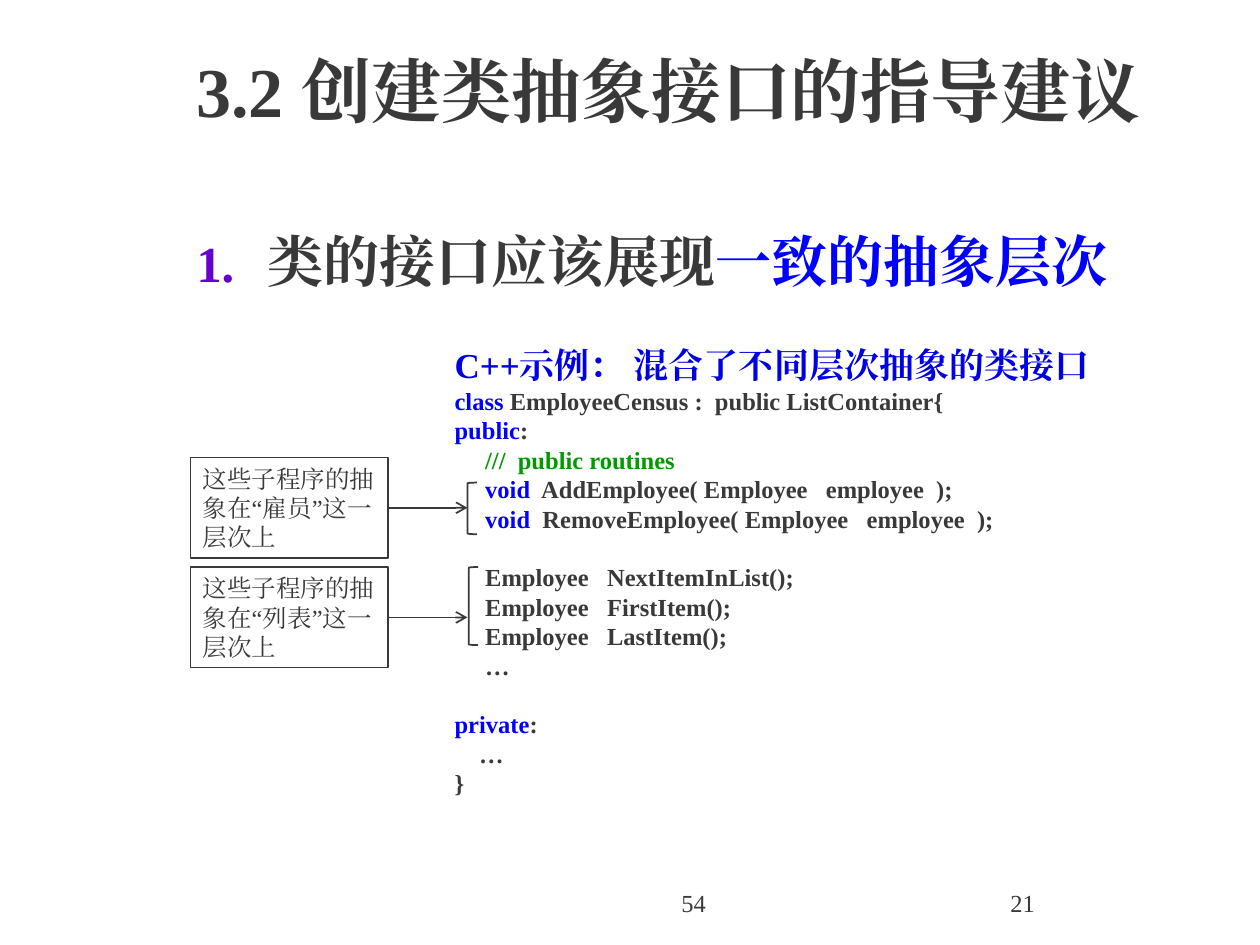
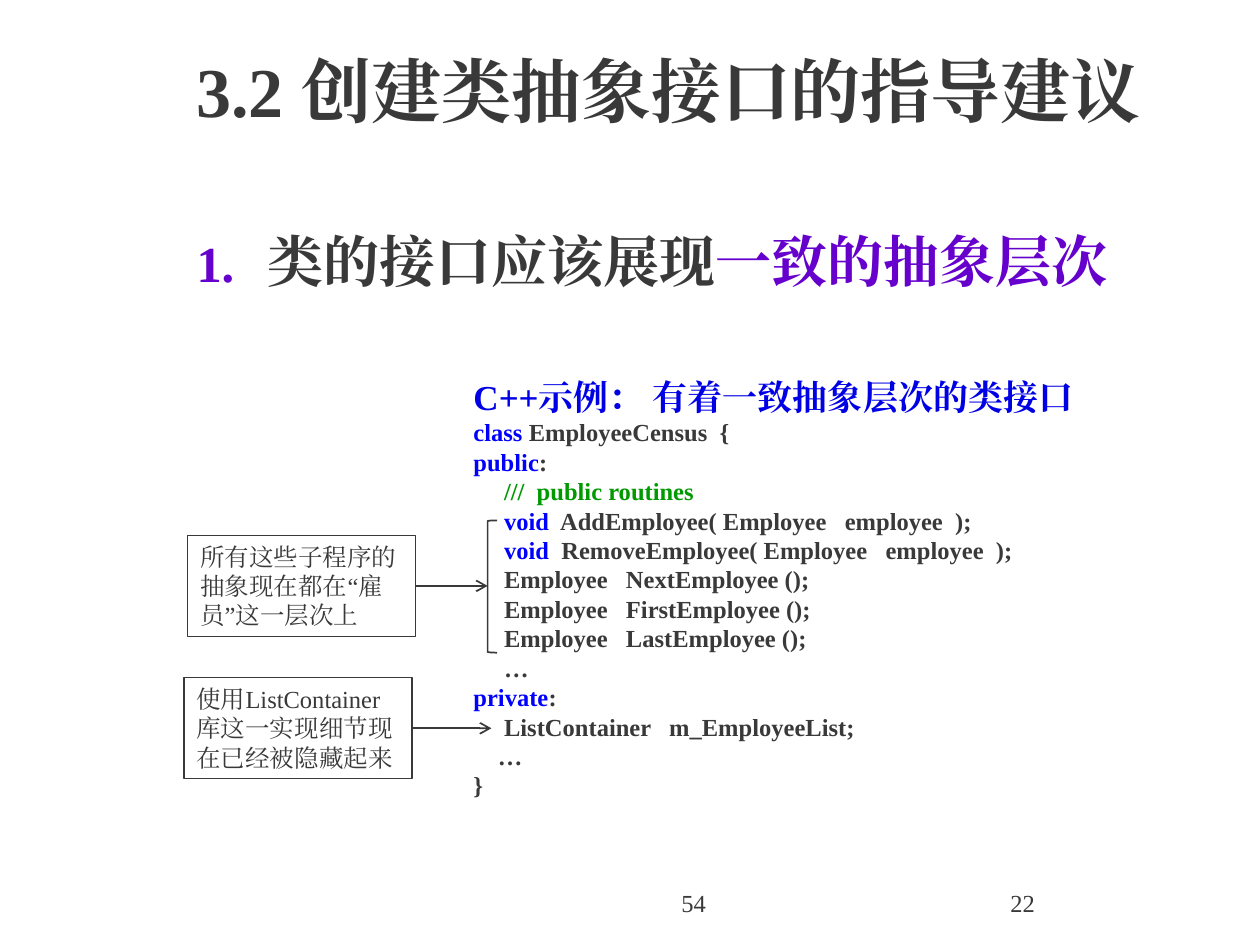
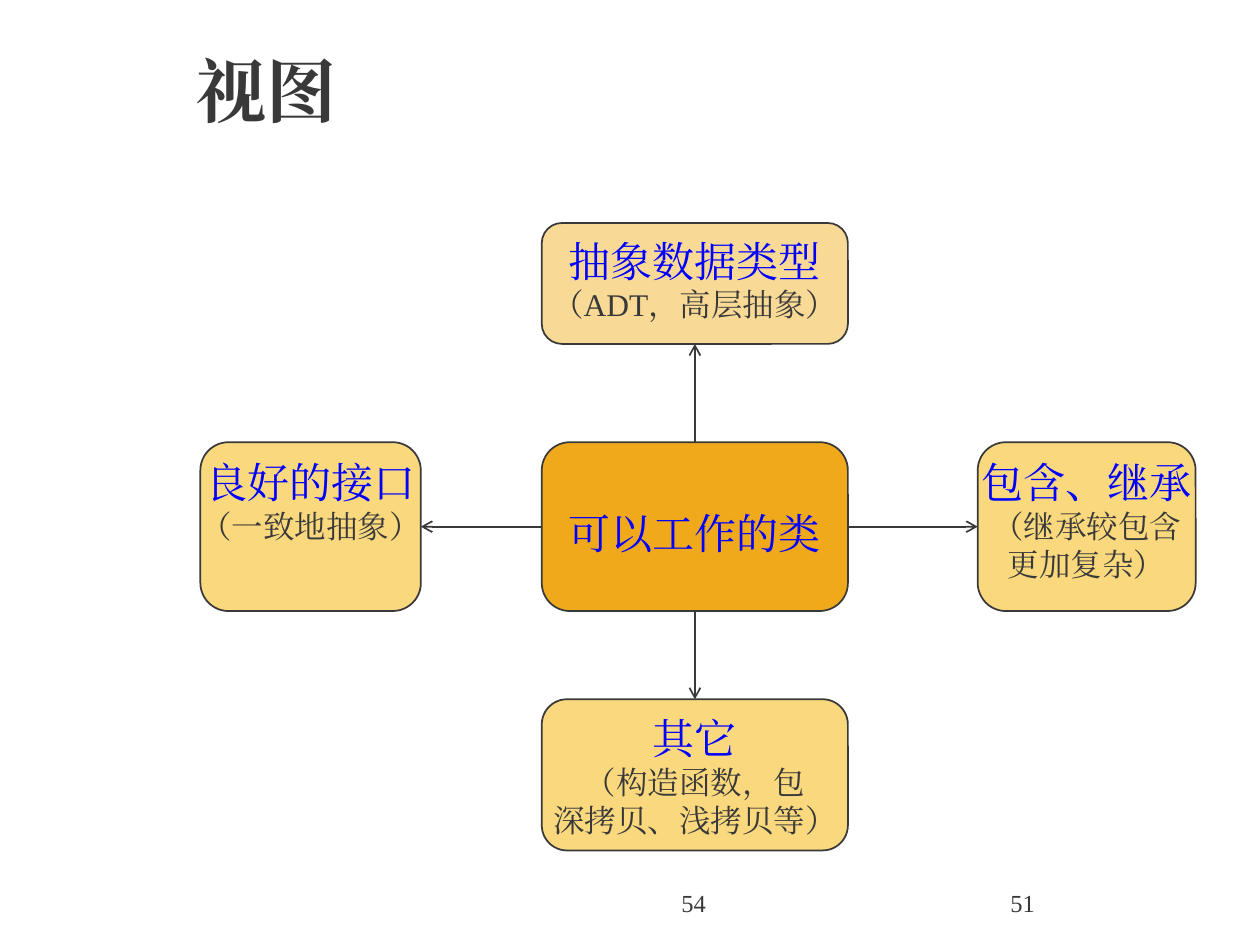
from dataclasses import dataclass

from lxml.etree import SubElement
from pptx import Presentation
from pptx.dml.color import RGBColor
from pptx.enum.shapes import MSO_CONNECTOR as Connector, MSO_SHAPE as Preset
from pptx.enum.text import MSO_ANCHOR as Anchor, MSO_AUTO_SIZE as AutoSize, PP_ALIGN as Align
from pptx.oxml.ns import qn
from pptx.util import Inches, Pt


@dataclass(frozen=True)
class Theme:
    font: str = "Times New Roman"
    ink: str = "393939"
    accent: str = "0000FF"
    caption: str = "0000E5"
    comment: str = "009900"
    number: str = "6600CC"
    hub: str = "F0A91A"
    top_node: str = "F8DA96"
    node: str = "F9D87E"
    title_size: int = 40
    list_size: int = 32
    topic_size: int = 24
    caption_size: int = 20
    detail_size: int = 18
    small_size: int = 14
    leading: float = 1.2
    thin: float = 0.75
    line: float = 1


THEME = Theme()
COLUMNS, ROWS = 100, 75
WIDTH, HEIGHT = Inches(10), Inches(7.5)
KEYWORDS = ("class", "public", "private", "void")
TOP, LEFT, BOTTOM, RIGHT = range(4)
INDENT = 5
GUIDELINE_TITLE = "3.2 创建类抽象接口的指导建议"
MEMBER_ROUTINES = [
    (0, "public:"),
    (INDENT, "///  public routines"),
    (INDENT, "void  AddEmployee( Employee   employee  );"),
    (INDENT, "void  RemoveEmployee( Employee   employee  );"),
]


def across(columns):
    return round(WIDTH * columns / COLUMNS)


def down(rows):
    return round(HEIGHT * rows / ROWS)


def area(left, top, width, height):
    return across(left), down(top), across(width), down(height)


def color(code):
    return RGBColor.from_string(code)


def write(para, spans, size, bold=False, align=Align.LEFT):
    para.alignment = align
    para.line_spacing = Pt(size * THEME.leading)
    for text, code in spans:
        span = para.add_run()
        span.text = text
        span.font.name = THEME.font
        span.font.size = Pt(size)
        span.font.bold = bold
        span.font.color.rgb = color(code)
        SubElement(span.font._element, qn("a:ea"), typeface=THEME.font)


def next_para(frame, index):
    return frame.add_paragraph() if index else frame.paragraphs[0]


def prepare(frame, wrap=True, anchor=Anchor.TOP):
    frame.word_wrap = wrap
    frame.auto_size = AutoSize.NONE
    frame.vertical_anchor = anchor
    return frame


def move(shape, *cells):
    shape.left, shape.top, shape.width, shape.height = area(*cells)


def add_label(page, cells, text, align=Align.LEFT):
    box = page.shapes.add_textbox(*area(*cells))
    frame = prepare(box.text_frame)
    write(frame.paragraphs[0], [(text, THEME.ink)], THEME.small_size, align=align)


def add_page(deck, layout, title, number):
    page = deck.slides.add_slide(deck.slide_layouts[layout])
    move(page.shapes.title, 14.6, 0.5, 85, 13.2)
    frame = prepare(page.shapes.title.text_frame, anchor=Anchor.MIDDLE)
    write(frame.paragraphs[0], [(title, THEME.ink)], THEME.title_size, bold=True)
    add_label(page, (39.2, 70, 31.7, 5), "54", Align.CENTER)
    add_label(page, (79.2, 70, 20.8, 5), number)
    return page


def add_guideline(page, highlight):
    body = page.placeholders[1]
    move(body, 14.6, 17.5, 85, 8.2)
    para = prepare(body.text_frame).paragraphs[0]
    spans = [("类的接口应该展现", THEME.ink), ("一致的抽象层次", highlight)]
    write(para, spans, THEME.list_size, bold=True)
    para.space_before = Pt(8)
    props = para._p.get_or_add_pPr()
    props.set("marL", str(Inches(0.56)))
    props.set("indent", str(-Inches(0.56)))
    SubElement(SubElement(props, qn("a:buClr")), qn("a:srgbClr"), val=THEME.number)
    SubElement(props, qn("a:buSzPct"), val="90000")
    SubElement(props, qn("a:buAutoNum"), type="arabicPeriod")


def color_code(text):
    if text.startswith("///"):
        return [(text, THEME.comment)]
    for word in KEYWORDS:
        if text.startswith(word):
            return [(word, THEME.accent), (text[len(word):], THEME.ink)]
    return [(text, THEME.ink)]


def add_listing(page, cells, caption, lines, spaced=()):
    frame = prepare(page.shapes.add_textbox(*area(*cells)).text_frame)
    write(frame.paragraphs[0], [(caption, THEME.caption)], THEME.caption_size, bold=True)
    for indent, text in lines:
        para = frame.add_paragraph()
        write(para, color_code(text), THEME.small_size, bold=True)
        if indent:
            para._p.get_or_add_pPr().set("marL", str(Pt(indent * THEME.small_size / 4)))
        if text in spaced:
            para.space_before = Pt(THEME.small_size * THEME.leading)


def outline(shape, width):
    shape.shadow.inherit = False
    shape.line.color.rgb = color(THEME.ink)
    shape.line.width = Pt(width)


def add_arrow(page, start=(0, 0), end=(0, 0)):
    arrow = page.shapes.add_connector(
        Connector.STRAIGHT, across(start[0]), down(start[1]), across(end[0]), down(end[1]))
    arrow.line.color.rgb = color(THEME.ink)
    arrow.line.width = Pt(THEME.line)
    SubElement(arrow.line._get_or_add_ln(), qn("a:tailEnd"), type="arrow")
    SubElement(arrow._element.spPr, qn("a:effectLst"))
    return arrow


def add_note(page, text, left, top, width, target):
    height = 8
    note = page.shapes.add_shape(Preset.RECTANGLE, *area(left, top, width, height))
    note.fill.background()
    outline(note, THEME.thin)
    frame = prepare(note.text_frame)
    write(frame.paragraphs[0], [(text, THEME.ink)], THEME.small_size)
    middle = top + height / 2
    add_arrow(page, (left + width, middle), (target, middle))


def add_bracket(page, left, top, height):
    bracket = page.shapes.add_shape(Preset.LEFT_BRACKET, *area(left, top, 0.75, height))
    bracket.adjustments[0] = 0.08
    bracket.fill.background()
    outline(bracket, THEME.line)


def add_node(page, cells, fill, topic, details=(), top_inset=0.05):
    node = page.shapes.add_shape(Preset.ROUNDED_RECTANGLE, *area(*cells))
    node.fill.solid()
    node.fill.fore_color.rgb = color(fill)
    outline(node, THEME.line)
    frame = prepare(node.text_frame, wrap=False)
    frame.margin_top = Inches(top_inset)
    rows = [(topic, THEME.accent, THEME.topic_size)]
    rows += [(detail, THEME.ink, THEME.detail_size) for detail in details]
    for index, (text, code, size) in enumerate(rows):
        write(next_para(frame, index), [(text, code)], size, align=Align.CENTER)
    return node


def link(page, source, site, target):
    arrow = add_arrow(page)
    arrow.begin_connect(source, site)
    arrow.end_connect(target, (site + 2) % 4)


def build_mixed_interface(deck):
    page = add_page(deck, 1, GUIDELINE_TITLE, "21")
    add_guideline(page, THEME.accent)
    lines = [
        (0, "class EmployeeCensus :  public ListContainer{"),
        *MEMBER_ROUTINES,
        (INDENT, "Employee   NextItemInList();"),
        (INDENT, "Employee   FirstItem();"),
        (INDENT, "Employee   LastItem();"),
        (INDENT, "…"),
        (0, "private:"),
        (4, "…"),
        (0, "}"),
    ]
    add_listing(page, (35.1, 26.8, 56.7, 37), "C++示例： 混合了不同层次抽象的类接口",
                lines, ("Employee   NextItemInList();", "private:"))
    for level, top in (("雇员", 36.3), ("列表", 45)):
        add_note(page, f"这些子程序的抽象在“{level}”这一层次上", 15.1, top, 15.7, 37.1)
    add_bracket(page, 37.1, 38.3, 4.1)
    add_bracket(page, 37.2, 45, 6.2)


def build_consistent_interface(deck):
    page = add_page(deck, 1, GUIDELINE_TITLE, "22")
    add_guideline(page, THEME.number)
    lines = [
        (0, "class EmployeeCensus  {"),
        *MEMBER_ROUTINES,
        (INDENT, "Employee   NextEmployee ();"),
        (INDENT, "Employee   FirstEmployee ();"),
        (INDENT, "Employee   LastEmployee ();"),
        (INDENT, "…"),
        (0, "private:"),
        (INDENT, "ListContainer   m_EmployeeList;"),
        (4, "…"),
        (0, "}"),
    ]
    add_listing(page, (36.6, 29.3, 56.7, 34.7), "C++示例： 有着一致抽象层次的类接口", lines)
    add_note(page, "所有这些子程序的抽象现在都在“雇员”这一层次上", 14.9, 42.5, 18.1, 38.7)
    add_note(page, "使用ListContainer库这一实现细节现在已经被隐藏起来", 14.6, 53.8, 18.1, 39)
    add_bracket(page, 38.7, 41.3, 10.5)


def build_overview(deck):
    page = add_page(deck, 5, "视图", "51")
    center, middle = (43, 24.3), (35.1, 13.4)

    def cells(column, row):
        return column[0], row[0], column[1], row[1]

    hub = add_node(page, cells(center, middle), THEME.hub, "可以工作的类", top_inset=0.45)
    nodes = {
        TOP: (center, (17.7, 9.6), THEME.top_node, "抽象数据类型", ["（ADT，高层抽象）"]),
        LEFT: ((15.9, 17.5), middle, THEME.node, "良好的接口", ["（一致地抽象）"]),
        BOTTOM: (center, (55.5, 12), THEME.node, "其它", ["（构造函数，包", "深拷贝、浅拷贝等）"]),
        RIGHT: ((77.6, 17.3), middle, THEME.node, "包含、继承", ["（继承较包含", "更加复杂）"]),
    }
    for site, (column, row, fill, topic, details) in nodes.items():
        link(page, hub, site, add_node(page, cells(column, row), fill, topic, details))


def main():
    deck = Presentation()
    deck.slide_width, deck.slide_height = WIDTH, HEIGHT
    build_mixed_interface(deck)
    build_consistent_interface(deck)
    build_overview(deck)
    deck.save("out.pptx")


if __name__ == "__main__":
    main()
